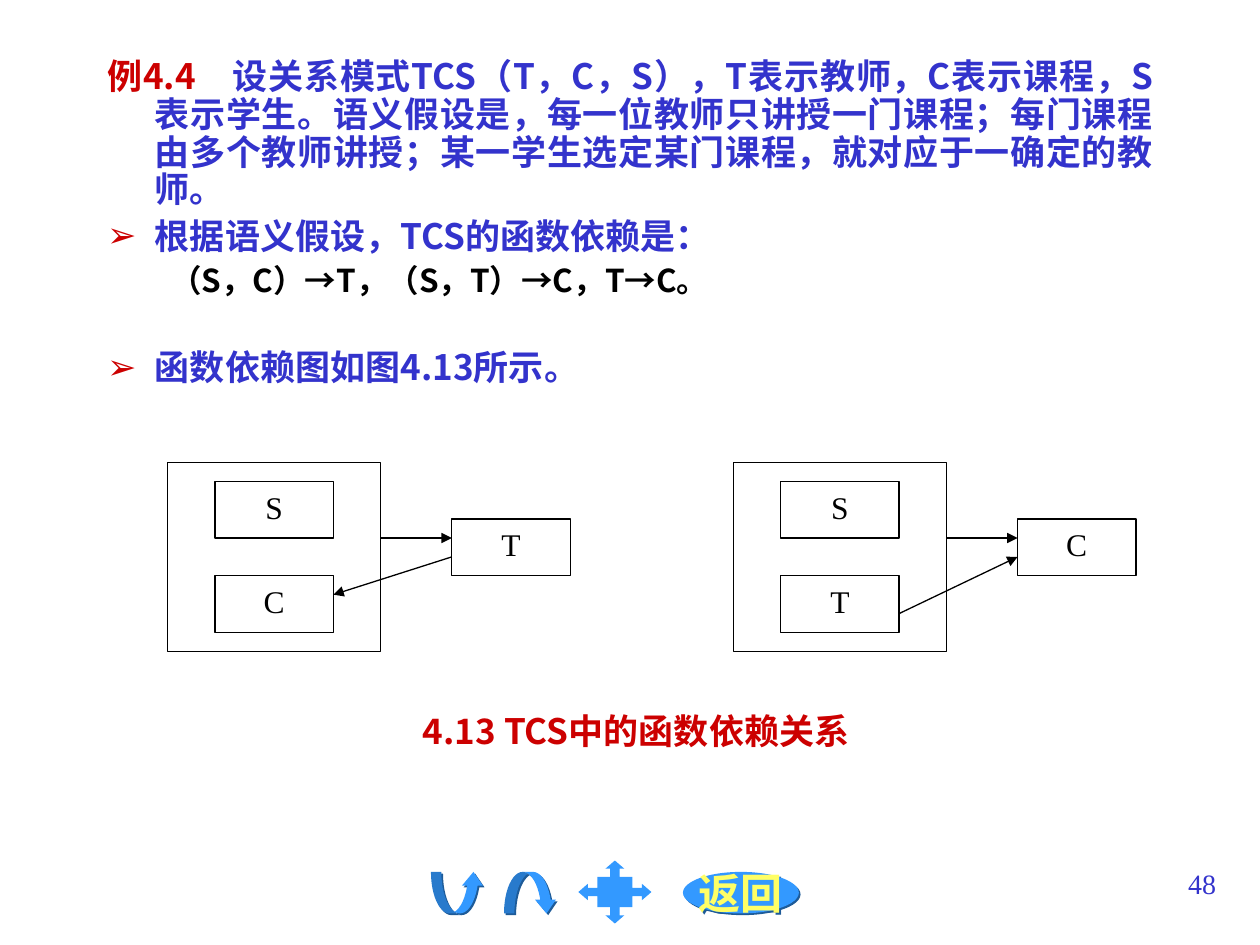
import pptx
import pptx.util
import pptx.dml.color
import pptx.enum.shapes
import pptx.enum.text
import pptx.oxml
import pptx.oxml.ns

Inches, Pt = pptx.util.Inches, pptx.util.Pt
SHAPE = pptx.enum.shapes.MSO_SHAPE
ALIGN = pptx.enum.text.PP_ALIGN
ANCHOR = pptx.enum.text.MSO_ANCHOR
SANS, SERIF = "Noto Sans CJK SC", "Times New Roman"
RED, BLUE, BLACK, WHITE = "CC0000", "3333CC", "000000", "FFFFFF"
SKY, SHADE, YELLOW = "3399FF", "1E5B98", "FFFF66"

HEADING = {"size": 20, "bold": True, "font": SANS}
FORMULA = {"size": 18, "bold": True, "font": SANS}
NODE = {"size": 18, "font": SERIF, "color": BLACK}

# spans, bullet, level, left margin, hanging indent, space before, alignment
BODY = [
    ([("例4.4", {**HEADING, "color": RED}),
      ("\u3000设关系模式TCS（T，C，S），T表示教师，C表示课程，S表示学生。"
       "语义假设是，每一位教师只讲授一门课程；每门课程由多个教师讲授；"
       "某一学生选定某门课程，就对应于一确定的教师。", {**HEADING, "color": BLUE})],
     None, 0, 0.38, 0.38, 5, ALIGN.JUSTIFY),
    ([("根据语义假设，TCS的函数依赖是：", {**HEADING, "color": BLUE})],
     "➢", 0, 0.38, 0.38, 5, ALIGN.JUSTIFY),
    ([("（S，C）→T，（S，T）→C，T→C。", {**FORMULA, "color": BLACK})],
     None, 1, 0.81, 0.31, 4.5, ALIGN.JUSTIFY),
    ([("函数依赖图如图4.13所示。", {**HEADING, "color": BLUE})],
     "➢", 0, 0.38, 0.38, 29.5, ALIGN.LEFT),
]
CAPTION = "4.13 TCS中的函数依赖关系 "
PAGE_NUMBER = "48"

# Diagrams sit on a grid of 0.47 by 0.15 inch; node places are column, row.
COLUMN, ROW, DIAGRAM_TOP = 0.47, 0.15, 3.67
DIAGRAMS = [
    {"left": 1.33, "nodes": "SCT", "arrow": ((4.8, 5), (2.8, 7))},
    {"left": 5.82, "nodes": "STC", "arrow": ((2.8, 8), (4.8, 5))},
]
NODE_PLACES = [(0.8, 1), (0.8, 6), (4.8, 3)]
FRAME_SIZE, NODE_SIZE = (3.6, 10), (2, 3)
JOINING_ARROW = ((3.6, 4), (4.8, 4))

BUTTON_TOP, BUTTON_HEIGHT = 6.92, 0.33
CURVED_ARROWS = [(SHAPE.CURVED_UP_ARROW, 3.42), (SHAPE.CURVED_DOWN_ARROW, 4)]
CROSS_CENTER, CROSS_HALF = (4.88, 7.08), (0.29, 0.25)
CROSS_ARM = [(-0.48, -0.48), (-0.13, -0.48), (-0.13, -0.74), (-0.26, -0.74),
             (0, -1), (0.26, -0.74), (0.13, -0.74), (0.13, -0.48)]


def rgb(color):
    return pptx.dml.color.RGBColor.from_string(color)


def element(tag, **attributes):
    node = pptx.oxml.parse_xml(f"<{tag} {pptx.oxml.ns.nsdecls('a')}/>")
    for name, value in attributes.items():
        node.set(name, str(value))
    return node


def add_span(para, text, style):
    span = para.add_run()
    span.text = text
    font = span.font
    values = {"size": Pt(style["size"]), "bold": style.get("bold", False), "name": style["font"]}
    for name, value in values.items():
        setattr(font, name, value)
    font.color.rgb = rgb(style["color"])
    # East Asian characters take their typeface from a separate element
    font._element.append(element("a:ea", typeface=SANS))


def set_indent(para, margin, hanging):
    properties = para._p.get_or_add_pPr()
    properties.set("marL", str(Inches(margin)))
    properties.set("indent", str(-Inches(hanging)))
    return properties


def add_text_box(slide, area, text, style, alignment):
    box = slide.shapes.add_textbox(*map(Inches, area))
    box.text_frame.word_wrap = True
    para = box.text_frame.paragraphs[0]
    para.alignment = alignment
    add_span(para, text, style)
    return para


def add_shape(slide, kind, area, fill, line=None):
    shape = slide.shapes.add_shape(kind, *map(Inches, area))
    paint(shape, fill, line)
    return shape


def paint(shape, fill, line=None):
    shape.shadow.inherit = False
    shape.fill.solid()
    shape.fill.fore_color.rgb = rgb(fill)
    if line:
        shape.line.color.rgb = rgb(line)
        shape.line.width = Pt(0.75)
    else:
        shape.line.fill.background()


def add_button_shadow(shape):
    shadow = element("a:outerShdw", dist=Pt(1.4), dir=45 * 60000, algn="ctr", rotWithShape=0)
    shadow.append(element("a:srgbClr", val=SHADE))
    shape._element.spPr.find(pptx.oxml.ns.qn("a:effectLst")).append(shadow)


def add_arrow(slide, start, end):
    arrow = slide.shapes.add_connector(
        pptx.enum.shapes.MSO_CONNECTOR.STRAIGHT, *map(Inches, (*start, *end)))
    arrow.line.color.rgb = rgb(BLACK)
    arrow.line.width = Pt(0.75)
    arrow.line._get_or_add_ln().append(element("a:tailEnd", type="triangle"))
    arrow._element.spPr.append(element("a:effectLst"))


def fill_body(body):
    body.left, body.top, body.width, body.height = map(Inches, (0.75, 0.42, 8.5, 2.92))
    frame = body.text_frame
    frame.auto_size = pptx.enum.text.MSO_AUTO_SIZE.NONE
    for index, (spans, bullet, level, margin, hanging, before, alignment) in enumerate(BODY):
        para = frame.add_paragraph() if index else frame.paragraphs[0]
        values = {"level": level, "alignment": alignment,
                  "line_spacing": 0.9, "space_before": Pt(before)}
        for name, value in values.items():
            setattr(para, name, value)
        properties = set_indent(para, margin, hanging)
        if bullet:
            color = element("a:buClr")
            color.append(element("a:srgbClr", val=RED))
            properties.append(color)
            properties.append(element("a:buChar", char=bullet))
        else:
            properties.append(element("a:buNone"))
        for text, style in spans:
            add_span(para, text, style)


def add_diagram(slide, left, nodes, arrow):
    def place(point):
        return left + point[0] * COLUMN, DIAGRAM_TOP + point[1] * ROW

    def add_box(point, size):
        area = (*place(point), size[0] * COLUMN, size[1] * ROW)
        return add_shape(slide, SHAPE.RECTANGLE, area, WHITE, BLACK)

    add_box((0, 0), FRAME_SIZE)
    for name, point in zip(nodes, NODE_PLACES):
        frame = add_box(point, NODE_SIZE).text_frame
        frame.vertical_anchor = ANCHOR.TOP
        frame.paragraphs[0].alignment = ALIGN.CENTER
        add_span(frame.paragraphs[0], name, NODE)
    for start, end in (JOINING_ARROW, arrow):
        add_arrow(slide, place(start), place(end))


def add_buttons(slide):
    for kind, left in CURVED_ARROWS:
        arrow = add_shape(slide, kind, (left, BUTTON_TOP, 0.42, BUTTON_HEIGHT), SKY)
        for index, value in enumerate((0.25, 0.5, 0.33)):
            arrow.adjustments[index] = value
        add_button_shadow(arrow)

    back = add_shape(slide, SHAPE.OVAL, (5.42, BUTTON_TOP, 0.92, BUTTON_HEIGHT), SKY)
    add_button_shadow(back)
    back.text_frame.word_wrap = False
    back.text_frame.vertical_anchor = ANCHOR.MIDDLE
    para = back.text_frame.paragraphs[0]
    para.alignment = ALIGN.CENTER
    add_span(para, "返回", {"size": 24, "bold": True, "font": SERIF, "color": YELLOW})

    outline, arm = [], CROSS_ARM
    for _ in range(4):
        outline += arm
        arm = [(-y, x) for x, y in arm]  # a quarter turn
    points = [tuple(Inches(center + half * share)
                    for center, half, share in zip(CROSS_CENTER, CROSS_HALF, point))
              for point in outline]
    builder = slide.shapes.build_freeform(*points[0])
    builder.add_line_segments(points[1:], close=True)
    paint(builder.convert_to_shape(), SKY)


def main():
    deck = pptx.Presentation()
    deck.slide_width, deck.slide_height = Inches(10), Inches(7.5)
    slide = deck.slides.add_slide(deck.slide_layouts[1])
    title = slide.shapes.title._element
    title.getparent().remove(title)
    add_buttons(slide)
    fill_body(slide.placeholders[1])
    for diagram in DIAGRAMS:
        add_diagram(slide, **diagram)
    caption = add_text_box(slide, (0.83, 5.58, 8.5, 0.5), CAPTION,
                           {**HEADING, "color": RED}, ALIGN.CENTER)
    set_indent(caption, 0.38, 0.38)
    add_text_box(slide, (7.67, 6.83, 2.08, 0.5), PAGE_NUMBER,
                 {"size": 16, "font": SERIF, "color": BLUE}, ALIGN.RIGHT)
    deck.save("out.pptx")


if __name__ == "__main__":
    main()
